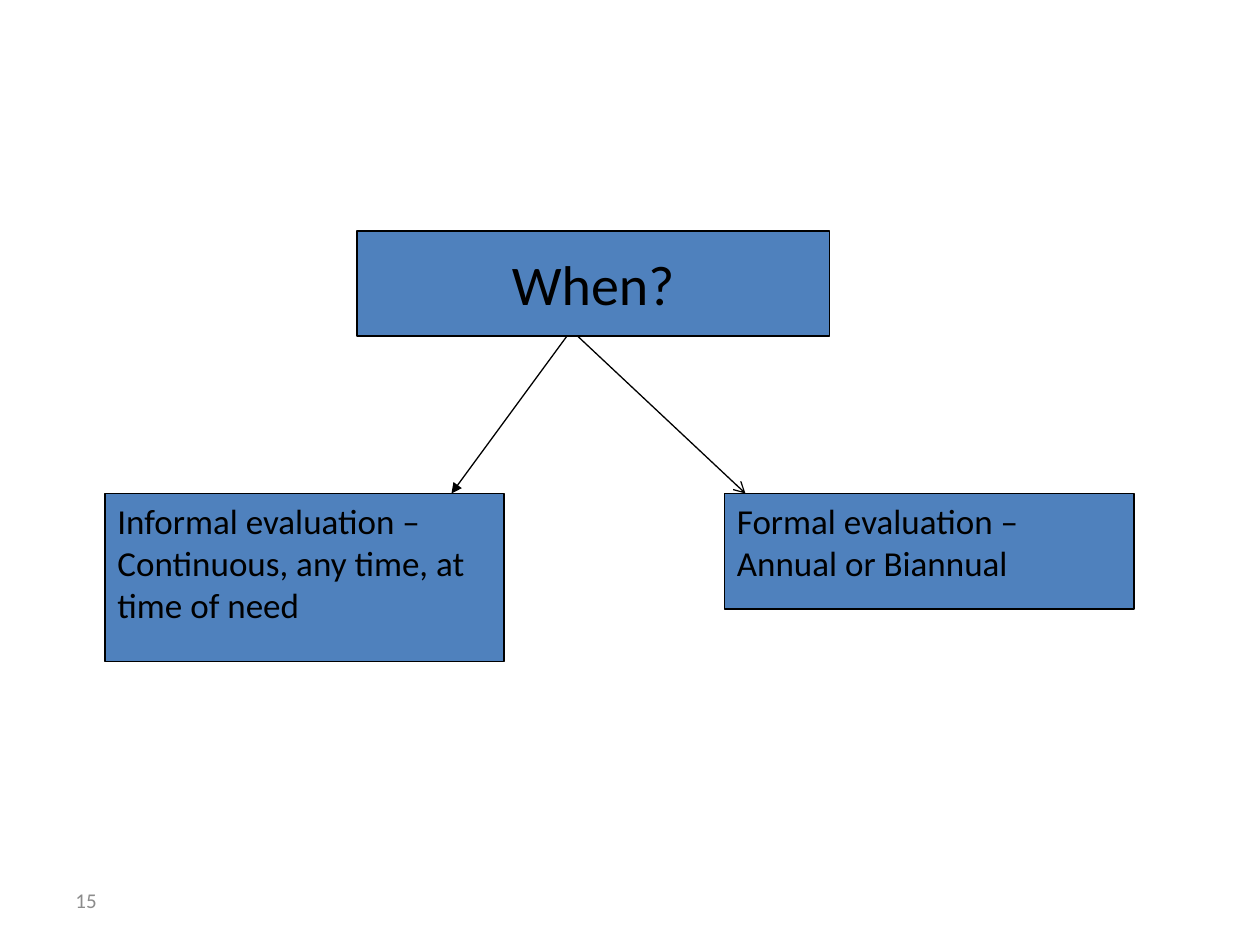
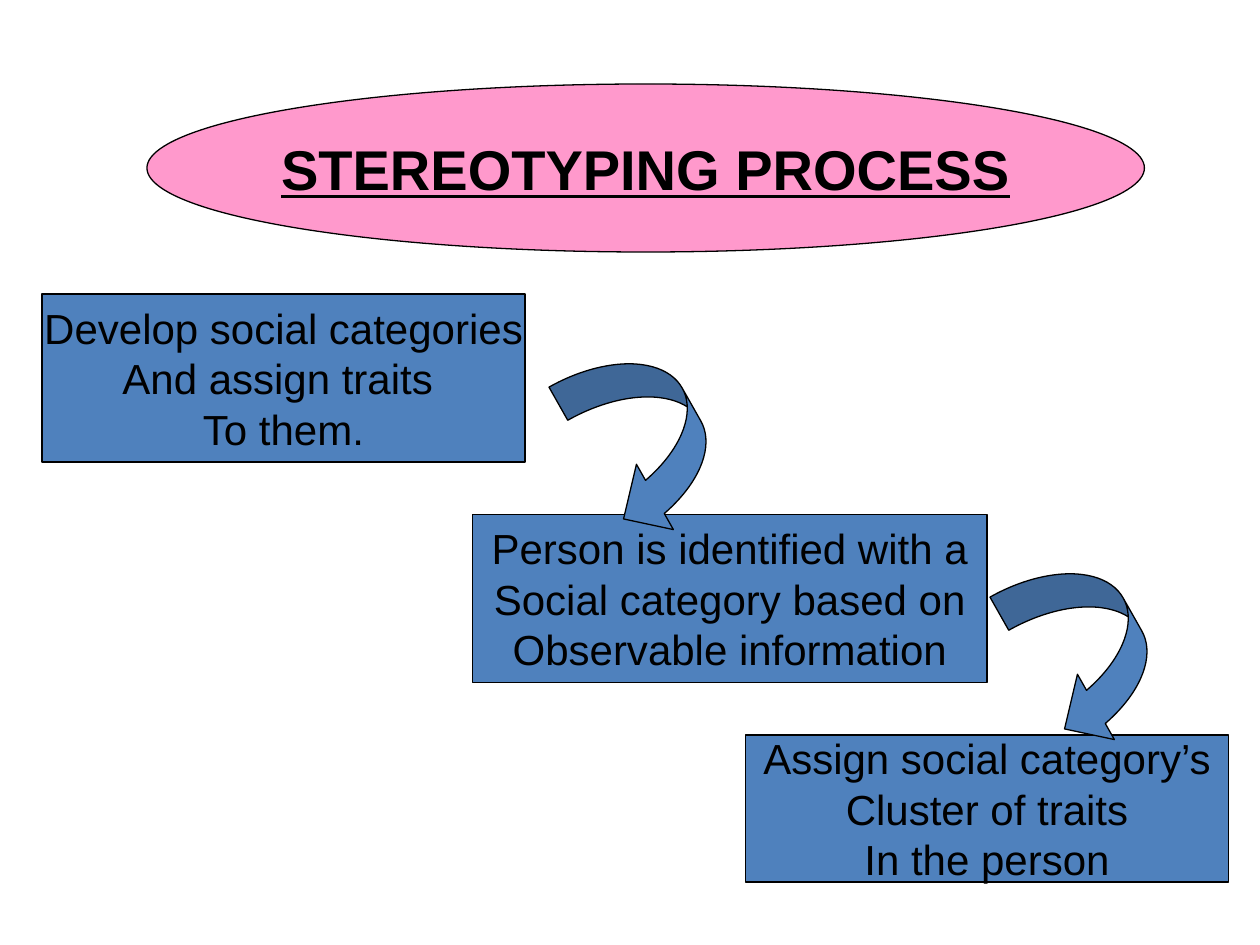
from lxml import etree
from pptx import Presentation
from pptx import util as u
from pptx.dml.color import RGBColor
from pptx.enum import shapes, text
from pptx.oxml.ns import qn

PX = u.Inches(1) // 96
BLACK = RGBColor(0, 0, 0)
GREY = RGBColor(0x8C, 0x8C, 0x8C)
BLUE = RGBColor(0x4F, 0x81, 0xBD)
PINK = RGBColor(0xFF, 0x99, 0xCC)
BLANK_LAYOUT = 6
RECTANGLE = shapes.MSO_SHAPE.RECTANGLE

HEADING = {"name": "Calibri", "size": u.Pt(32)}
BODY = {"name": "Calibri", "size": u.Pt(20)}
FOOTER = {"name": "Calibri", "size": u.Pt(12)}
TITLE = {"name": "Arial", "size": u.Pt(32), "bold": True, "underline": True}
STEP = {"name": "Arial", "size": u.Pt(24)}


def px(*lengths):
    return [length * PX for length in lengths]


def outline(shape):
    shape.line.color.rgb = BLACK
    shape.line.width = u.Pt(0.75)


def write(shape, lines, font, color=BLACK, centred=False, wrap=True, middle=True):
    frame = shape.text_frame
    frame.word_wrap = wrap
    frame.vertical_anchor = text.MSO_ANCHOR.MIDDLE if middle else text.MSO_ANCHOR.TOP
    for index, line in enumerate(lines):
        para = frame.add_paragraph() if index else frame.paragraphs[0]
        para.alignment = text.PP_ALIGN.CENTER if centred else text.PP_ALIGN.LEFT
        span = para.add_run()
        span.text = line
        span.font.color.rgb = color
        for name, value in font.items():
            setattr(span.font, name, value)


def add_filled(page, kind, box, fill=BLUE):
    shape = page.shapes.add_shape(kind, *px(*box))
    shape.shadow.inherit = False
    shape.fill.solid()
    shape.fill.fore_color.rgb = fill
    outline(shape)
    return shape


def add_arrow(page, start, end, head):
    arrow = page.shapes.add_connector(
        shapes.MSO_CONNECTOR.STRAIGHT, *px(*start, *end))
    outline(arrow)
    etree.SubElement(arrow.line._get_or_add_ln(), qn("a:tailEnd"), type=head)
    etree.SubElement(arrow._element.spPr, qn("a:effectLst"))


def add_page_number(page, number, box):
    label = page.shapes.add_textbox(*px(*box))
    write(label, [number], FOOTER, GREY)


def add_timing_tree(page, box):
    """Question on top, with an arrow down to each of its two answers."""
    left, top, width, height = box
    question_height, answer_top = 80, top + 200
    question = add_filled(page, RECTANGLE, (left + 192, top, 360, question_height))
    write(question, ["When?"], HEADING, centred=True, wrap=False)

    formal_width = 312
    formal_left = left + width - formal_width
    answers = [
        ("Informal evaluation – Continuous, any time, at time of need",
         (left, answer_top, 304, height - 200), left + 352, left + 264, "triangle"),
        ("Formal evaluation – Annual or Biannual",
         (formal_left, answer_top, formal_width, 88),
         left + 360, formal_left + 16, "arrow"),
    ]
    for wording, answer_box, start_x, end_x, head in answers:
        answer = add_filled(page, RECTANGLE, answer_box)
        write(answer, [wording], BODY, middle=False)
        add_arrow(page, (start_x, top + question_height), (end_x, answer_top), head)


def add_title_oval(page, wording, box):
    oval = add_filled(page, shapes.MSO_SHAPE.OVAL, box, PINK)
    write(oval, [wording], TITLE, centred=True, wrap=False)


def add_staircase(page, box):
    """Three steps going down to the right, joined by curved arrows."""
    left, top, width, height = box
    row_pitch = 168
    steps = [
        (0, 368, 128, ["Develop social categories", "And assign traits ", "To them."]),
        (328, 392, 128, ["Person is identified with a", "Social category based on",
                         "Observable information"]),
        (width - 368, 368, height - 2 * row_pitch,
         ["Assign social category’s", "Cluster of traits", "In the person"]),
    ]
    for row, (offset, step_width, step_height, lines) in enumerate(steps):
        step = add_filled(page, RECTANGLE, (left + offset, top + row * row_pitch,
                                            step_width, step_height))
        write(step, lines, STEP, centred=True, wrap=False)

    for turn in range(len(steps) - 1):
        arrow = add_filled(page, shapes.MSO_SHAPE.CURVED_DOWN_ARROW,
                           (left + 388 + 336 * turn, top + 68 + 160 * turn, 144, 88))
        arrow.rotation = 60.5
        for index, value in enumerate((0.33, 0.65, 0.33)):
            arrow.adjustments[index] = value


def main():
    deck = Presentation()
    deck.slide_width, deck.slide_height = px(960, 720)
    timing, process = [deck.slides.add_slide(deck.slide_layouts[BLANK_LAYOUT])
                       for _ in range(2)]

    add_page_number(timing, "15", (48, 667, 224, 38))
    add_timing_tree(timing, (80, 176, 784, 328))

    add_title_oval(process, "STEREOTYPING PROCESS", (112, 64, 760, 128))
    add_staircase(process, (32, 224, 904, 448))

    deck.save("out.pptx")


if __name__ == "__main__":
    main()
